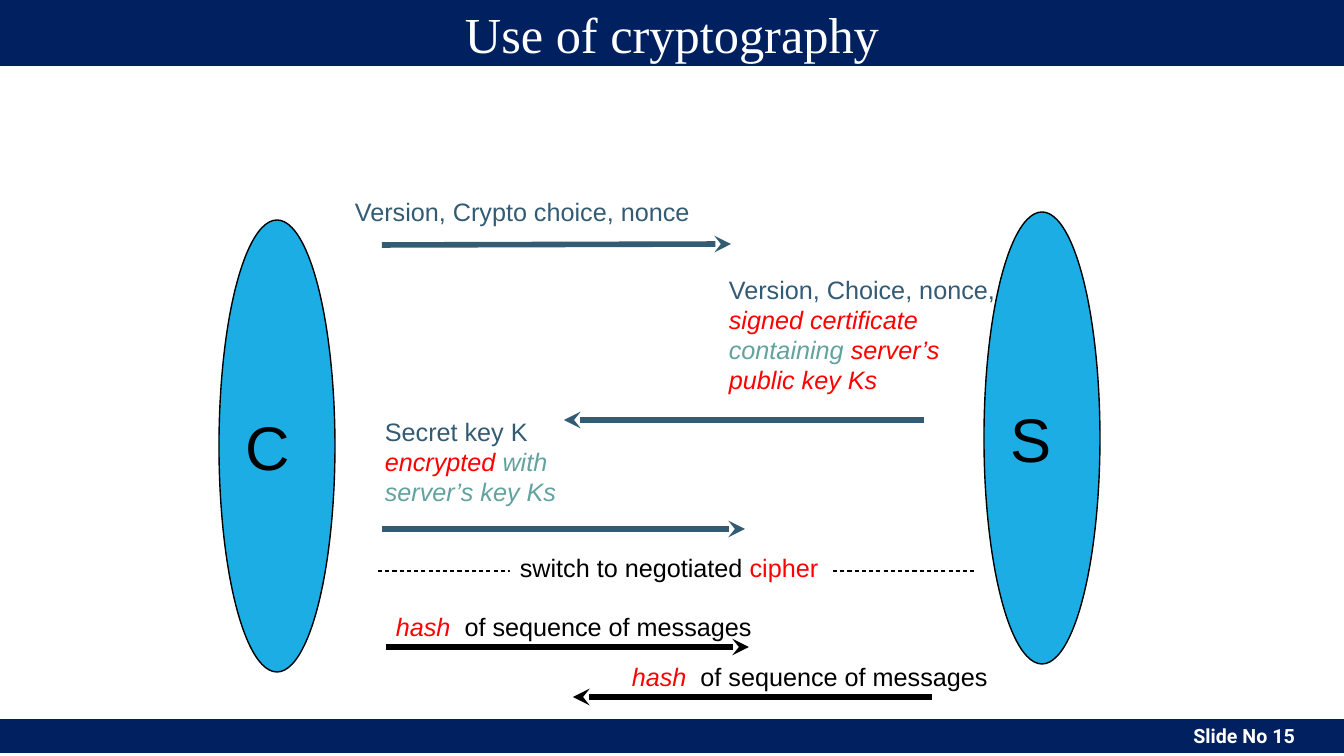
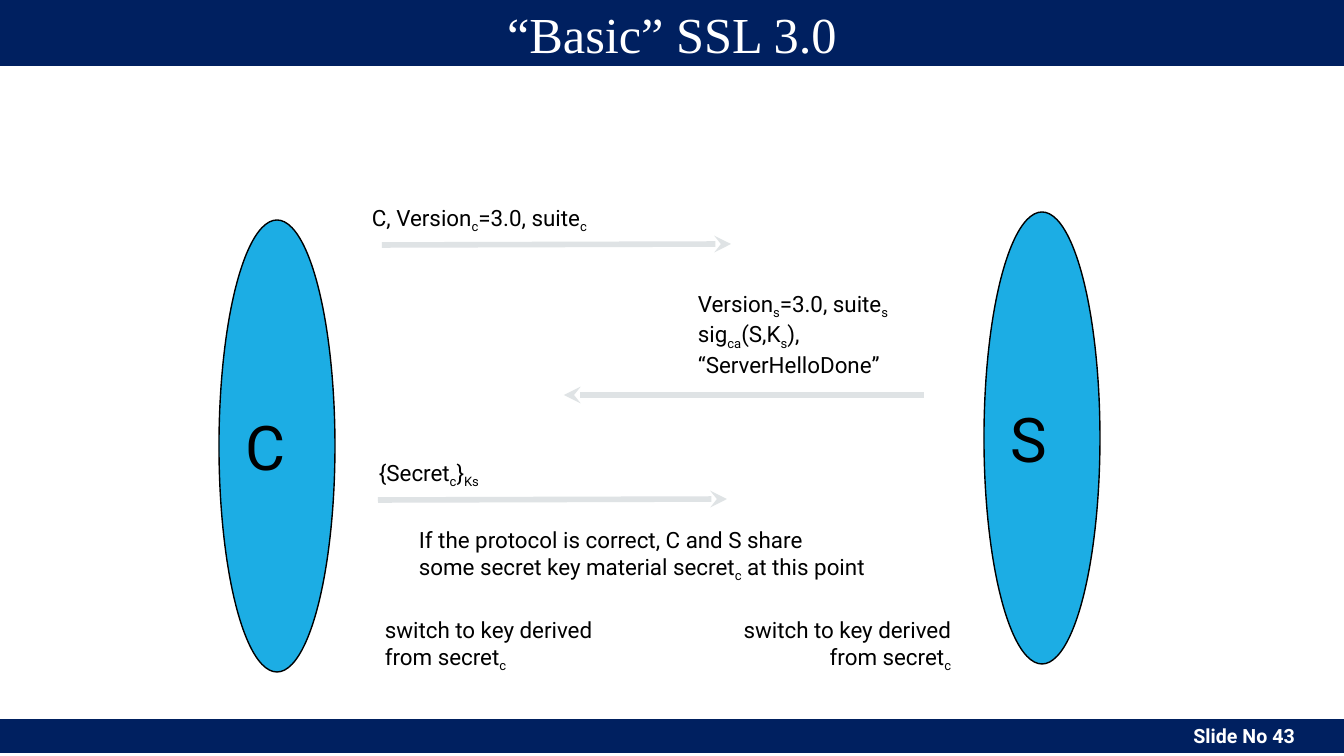
import pptx
import pptx.dml.color
import pptx.enum.dml
import pptx.enum.shapes
import pptx.enum.text
import pptx.oxml
import pptx.oxml.ns
import pptx.util

PX = 914400 / 100.8  # EMU in one px
SLIDE_W, SLIDE_H = 1344, 756
TITLE_BAND = (0, 0, SLIDE_W, 66)
FOOTER_BAND = (0, 719, SLIDE_W, 34)
STAGE = (219, 212)  # left and top of the protocol diagram
PARTIES = {"C": (0, 8, 116, 452), "S": (765, 0, 116, 452)}

COLORS = {
    "navy": "002060", "white": "FFFFFF", "black": "000000", "sky": "1CADE4",
    "slate": "335B74", "red": "FF0000", "sage": "62A39F", "mist": "DFE3E5",
}
ALIGN = pptx.enum.text.PP_ALIGN
MIDDLE = pptx.enum.text.MSO_ANCHOR.MIDDLE
SHAPES = pptx.enum.shapes.MSO_SHAPE


def emu(*lengths):
    return [pptx.util.Emu(round(length * PX)) for length in lengths]


def on_stage(x, y, *size):
    return emu(STAGE[0] + x, STAGE[1] + y, *size)


def rgb(name):
    return pptx.dml.color.RGBColor.from_string(COLORS[name])


def fill(shape, color):
    shape.fill.solid()
    shape.fill.fore_color.rgb = rgb(color)


def style(paragraph, font, size, color, align=ALIGN.LEFT):
    paragraph.alignment = align
    paragraph.font.name = font
    paragraph.font.size = pptx.util.Pt(size)
    if color:
        paragraph.font.color.rgb = rgb(color)


def add_preset(slide, kind, place, color):
    shape = slide.shapes.add_shape(kind, *place)
    shape.shadow.inherit = False
    fill(shape, color)
    shape.line.fill.background()
    return shape


# Title band and footer band
def add_frame(prs, title, number):
    slide = prs.slides.add_slide(prs.slide_layouts[5])
    footer = add_preset(slide, SHAPES.RECTANGLE, emu(*FOOTER_BAND), "navy")
    frame = footer.text_frame
    frame.margin_right = emu(49)[0]
    frame.vertical_anchor = MIDDLE
    frame.text = f"Slide No {number}"
    style(frame.paragraphs[0], "Roboto", 14, "white", ALIGN.RIGHT)
    frame.paragraphs[0].font.bold = True

    heading = slide.shapes.title
    heading.left, heading.top, heading.width, heading.height = emu(*TITLE_BAND)
    fill(heading, "navy")
    heading.text_frame.text = title
    heading.text_frame.auto_size = pptx.enum.text.MSO_AUTO_SIZE.NONE
    heading.text_frame.vertical_anchor = MIDDLE
    style(heading.text_frame.paragraphs[0], "Times New Roman", 36, "white", ALIGN.CENTER)
    return slide


# Client and server ellipses
def add_parties(slide, font):
    for letter, box in PARTIES.items():
        party = add_preset(slide, SHAPES.OVAL, on_stage(*box), "sky")
        party.line.color.rgb = rgb("black")
        party.line.width = pptx.util.Pt(1)
        party.text_frame.text = letter
        party.text_frame.vertical_anchor = MIDDLE
        style(party.text_frame.paragraphs[0], font, 44, "black")


def add_line(slide, start, end, color, width):
    line = slide.shapes.add_connector(
        pptx.enum.shapes.MSO_CONNECTOR.STRAIGHT, *on_stage(*start), *on_stage(*end))
    line.line.color.rgb = rgb(color)
    line.line.width = pptx.util.Pt(width)
    pptx.oxml.ns.qn("a:ln")
    line._element.spPr.append(pptx.oxml.parse_xml(
        f"<a:effectLst {pptx.oxml.ns.nsdecls('a')}/>"))
    return line


def add_arrow(slide, start, end, color):
    arrow = add_line(slide, start, end, color, 4)
    arrow.line._get_or_add_ln().append(pptx.oxml.parse_xml(
        f"<a:tailEnd {pptx.oxml.ns.nsdecls('a')} type='stealth'/>"))


# Label: a list of lines, each a list of (text, *marks);
# a mark is "sub", "italic" or a colour name
def add_label(slide, box, lines, font, size, align=ALIGN.LEFT):
    label = slide.shapes.add_textbox(*on_stage(*box))
    frame = label.text_frame
    frame.word_wrap = True
    for index, pieces in enumerate(lines):
        line = frame.add_paragraph() if index else frame.paragraphs[0]
        colors = {mark for _, *marks in pieces for mark in marks if mark in COLORS}
        shared = None if len(colors) > 1 else next(iter(colors), "black")
        style(line, font, size, shared, align)
        if all("italic" in marks for _, *marks in pieces):
            line.font.italic = True
        for text, *marks in pieces:
            run = line.add_run()
            run.text = text
            for mark in marks:
                if mark == "sub":
                    run._r.get_or_add_rPr().set("baseline", "-25000")
                elif mark == "italic":
                    run.font.italic = True if not line.font.italic else None
                elif not shared:
                    run.font.color.rgb = rgb(mark)
    return label


def build_cryptography(prs):
    slide = add_frame(prs, "Use of cryptography", 15)
    add_parties(slide, "Arial")

    # Handshake messages
    for start, end, color in [
        ((163, 33), (512, 32), "slate"),
        ((705, 208), (345, 208), "slate"),
        ((163, 317), (526, 317), "slate"),
        ((167, 435), (530, 435), "black"),
        ((713, 485), (354, 485), "black"),
    ]:
        add_arrow(slide, start, end, color)

    hash_line = [[("hash ", "italic", "red"), (" of sequence of messages", "black")]]
    for box, lines in [
        ((126, -21, 358, 40), [[("Version, Crypto choice, nonce", "slate")]]),
        ((500, 57, 289, 132), [
            [("Version, Choice, nonce,", "slate")],
            [("signed certificate", "italic", "red")],
            [("containing ", "italic", "sage"), ("server’s", "italic", "red")],
            [("public key Ks", "italic", "red")]]),
        ((156, 199, 194, 102), [
            [("Secret key K", "slate")],
            [("encrypted ", "italic", "red"), ("with", "italic", "sage")],
            [("server’s key Ks", "italic", "sage")]]),
        ((167, 394, 379, 40), hash_line),
        ((403, 444, 379, 40), hash_line),
    ]:
        add_label(slide, box, lines, "Arial", 18)

    # Cipher switch, set over a dashed line
    divider = add_line(slide, (159, 359), (756, 359), "black", 0.75)
    divider.line.dash_style = pptx.enum.dml.MSO_LINE.DASH
    switch = add_label(slide, (291, 335, 322, 40), [
        [("switch to negotiated ", "black"), ("cipher", "red")]], "Arial", 18)
    fill(switch, "white")


def build_ssl(prs):
    slide = add_frame(prs, "“Basic” SSL 3.0", 43)
    add_parties(slide, "Roboto")

    # Handshake messages
    for start, end in [
        ((163, 33), (512, 32)), ((705, 183), (345, 183)), ((159, 288), (508, 287)),
    ]:
        add_arrow(slide, start, end, "mist")

    client, server = ("c", "sub"), ("s", "sub")
    key_switch = [[("switch to key derived",)], [("from secret",), client]]
    for box, lines, align in [
        ((143, -13, 243, 37),
         [[("C, Version",), client, ("=3.0, suite",), client]], ALIGN.LEFT),
        ((469, 73, 216, 92), [
            [("Version",), server, ("=3.0, suite",), server],
            [("sig",), ("ca", "sub"), ("(S,K",), server, ("),",)],
            [("“ServerHelloDone”",)]], ALIGN.LEFT),
        ((150, 242, 127, 37),
         [[("{Secret",), client, ("}",), ("Ks", "sub")]], ALIGN.LEFT),
        ((190, 309, 470, 65), [
            [("If the protocol is correct, C and S share",)],
            [("some secret key material secret",), client, (" at this point",)]],
         ALIGN.LEFT),
        ((156, 399, 232, 65), key_switch, ALIGN.LEFT),
        ((510, 399, 232, 65), key_switch, ALIGN.RIGHT),
    ]:
        add_label(slide, box, lines, "Roboto", 16, align)


def main():
    prs = pptx.Presentation()
    prs.slide_width, prs.slide_height = emu(SLIDE_W, SLIDE_H)
    build_cryptography(prs)
    build_ssl(prs)
    prs.save("out.pptx")


if __name__ == "__main__":
    main()
